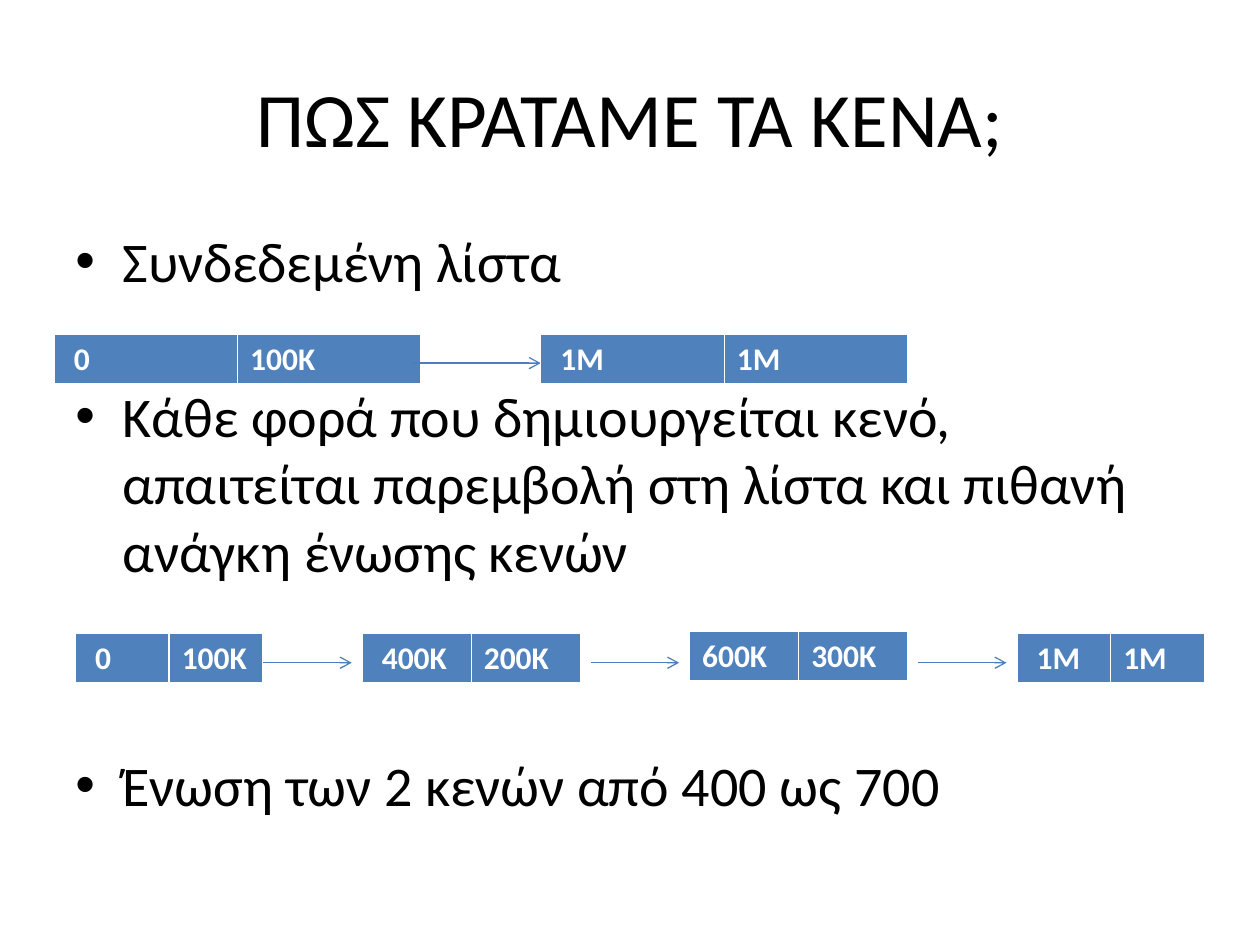
from dataclasses import dataclass

from lxml import etree
from pptx import Presentation
from pptx.dml.color import RGBColor
from pptx.enum.shapes import MSO_CONNECTOR
from pptx.enum.text import MSO_ANCHOR, PP_ALIGN
from pptx.oxml.ns import qn
from pptx.util import Cm, Pt

STRAIGHT = MSO_CONNECTOR.STRAIGHT
MIDDLE, TOP = MSO_ANCHOR.MIDDLE, MSO_ANCHOR.TOP
CENTER, LEFT = PP_ALIGN.CENTER, PP_ALIGN.LEFT


@dataclass
class Theme:
    font: str = "Calibri"
    text: str = "000000"
    light: str = "FFFFFF"
    cell: str = "4F81BD"
    arrow: str = "4B7EBC"
    title_size: int = 44
    body_size: int = 32
    cell_size: int = 18


class SlideBuilder:
    def __init__(self, slide, theme):
        self.s = slide
        self.theme = theme

    def add_run(self, p, text, size, color, bold=False):
        r = p.add_run()
        r.text = text
        r.font.name = self.theme.font
        r.font.size = Pt(size)
        r.font.bold = bold
        r.font.color.rgb = RGBColor.from_string(color)

    def text_frame(self, x, y, w, h, anchor):
        tf = self.s.shapes.add_textbox(Cm(x), Cm(y), Cm(w), Cm(h)).text_frame
        tf.word_wrap = True
        tf.vertical_anchor = anchor
        return tf

    def title(self, text, x, y, w, h):
        p = self.text_frame(x, y, w, h, MIDDLE).paragraphs[0]
        p.alignment = CENTER
        self.add_run(p, text, self.theme.title_size, self.theme.text)

    def bullets(self, items, x, y, w, h):
        """Each item is a text and the space before it in points."""
        tf = self.text_frame(x, y, w, h, TOP)
        for i, (text, space) in enumerate(items):
            p = tf.add_paragraph() if i else tf.paragraphs[0]
            p.alignment = LEFT
            p.space_before = Pt(space)
            pPr = p._p.get_or_add_pPr()
            pPr.set("marL", str(Cm(0.95)))
            pPr.set("indent", str(Cm(-0.95)))
            etree.SubElement(pPr, qn("a:buFont"), typeface="Arial")
            etree.SubElement(pPr, qn("a:buChar"), char="•")
            self.add_run(p, text, self.theme.body_size, self.theme.text)

    def border(self, cell):
        tcPr = cell._tc.get_or_add_tcPr()
        for i, (side, width) in enumerate((("L", 1), ("R", 1), ("T", 1), ("B", 3))):
            ln = etree.Element(qn(f"a:ln{side}"), w=str(Pt(width)))
            fill = etree.SubElement(ln, qn("a:solidFill"))
            etree.SubElement(fill, qn("a:srgbClr"), val=self.theme.light)
            tcPr.insert(i, ln)

    def node(self, start, size, x, y, col_w):
        """A list node: start and size of one memory gap."""
        table = self.s.shapes.add_table(
            1, 2, Cm(x), Cm(y), Cm(2 * col_w), Cm(1.03)).table
        for col, text in enumerate((start, size)):
            table.columns[col].width = Cm(col_w)
            cell = table.cell(0, col)
            cell.fill.solid()
            cell.fill.fore_color.rgb = RGBColor.from_string(self.theme.cell)
            self.border(cell)
            self.add_run(cell.text_frame.paragraphs[0], text,
                         self.theme.cell_size, self.theme.light, bold=True)

    def arrow(self, x, y, length):
        line = self.s.shapes.add_connector(
            STRAIGHT, Cm(x), Cm(y), Cm(x + length), Cm(y))
        line.line.width = Pt(0.75)
        line.line.color.rgb = RGBColor.from_string(self.theme.arrow)
        etree.SubElement(line.line._get_or_add_ln(), qn("a:tailEnd"), type="arrow")
        etree.SubElement(line._element.spPr, qn("a:effectLst"))


def main():
    prs = Presentation()
    prs.slide_width, prs.slide_height = Cm(25.4), Cm(19.05)
    b = SlideBuilder(prs.slides.add_slide(prs.slide_layouts[6]), Theme())

    # Title and bullets, with room left for the two lists
    b.title("ΠΩΣ ΚΡΑΤΑΜΕ ΤΑ ΚΕΝΑ;", 1.27, 0.76, 22.86, 3.18)
    b.bullets([
        ("Συνδεδεμένη λίστα", 0),
        ("Κάθε φορά που δημιουργείται κενό, απαιτείται παρεμβολή στη λίστα "
         "και πιθανή ανάγκη ένωσης κενών", 50),
        ("Ένωση των 2 κενών από 400 ως 700", 95.5),
    ], 1.27, 4.45, 22.86, 12.57)

    # First list
    b.node(" 0", "100Κ", 1.09, 6.73, 3.7)
    b.arrow(8.31, 7.32, 2.59)
    b.node(" 1Μ", "1Μ", 10.9, 6.73, 3.7)

    # Second list, after gaps have been inserted
    for start, size, x, y, col_w in (
        (" 0", "100Κ", 1.52, 12.76, 1.89),
        (" 400Κ", "200Κ", 7.3, 12.76, 2.2),
        ("600Κ", "300Κ", 13.9, 12.73, 2.2),
        (" 1Μ", "1Μ", 20.5, 12.76, 1.89),
    ):
        b.node(start, size, x, y, col_w)
    for i in range(3):
        b.arrow(5.31 + 6.6 * i, 13.36, 1.78)

    prs.save("out.pptx")


if __name__ == "__main__":
    main()
